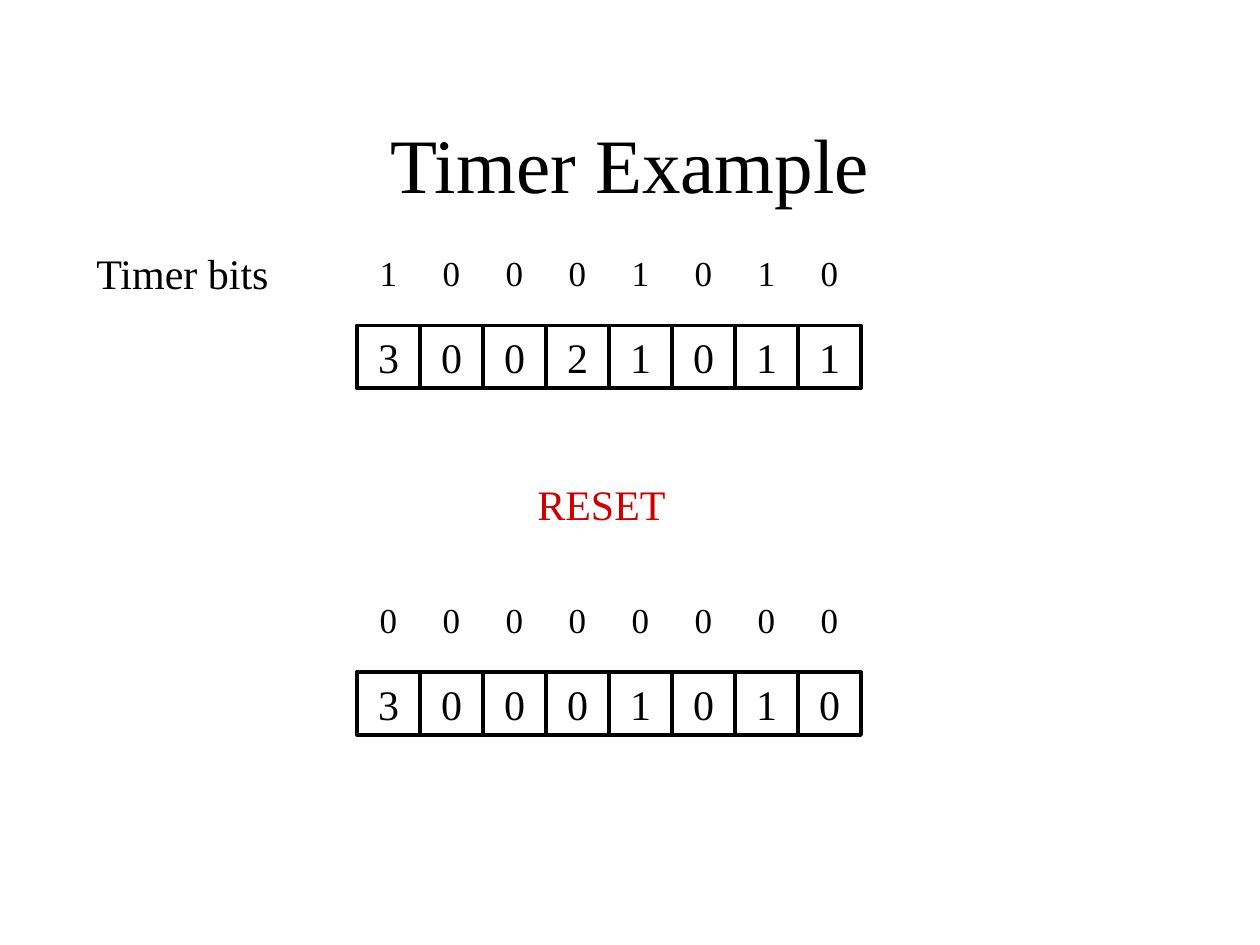
from dataclasses import dataclass

from pptx import Presentation
from pptx.dml.color import RGBColor
from pptx.enum.shapes import MSO_SHAPE
from pptx.enum.text import MSO_ANCHOR as Anchor, MSO_AUTO_SIZE as AutoSize, PP_ALIGN as Align
from pptx.util import Pt


@dataclass(frozen=True)
class Theme:
    font: str = "Times New Roman"
    ink: RGBColor = RGBColor(0, 0, 0)
    alert: RGBColor = RGBColor(0xCC, 0, 0)
    title: int = 44
    body: int = 24
    bit: int = 20
    border: float = 2.25


THEME = Theme()
CELL = 36
ROW_LEFT = 204
BITS_RISE = 48  # from the top of the bits to the top of their counters


def write(tf, text, size, color=THEME.ink, align=Align.CENTER, anchor=Anchor.MIDDLE):
    tf.text = text
    tf.vertical_anchor = anchor
    p = tf.paragraphs[0]
    p.alignment = align
    font = p.runs[0].font
    font.name, font.size = THEME.font, Pt(size)
    font.color.rgb = color


def add_title(s, text):
    sp = s.shapes.title
    sp.left, sp.top, sp.width, sp.height = Pt(54), Pt(48), Pt(612), Pt(90)
    write(sp.text_frame, text, THEME.title)


def add_label(s, text, left, top, width, color=THEME.ink):
    tf = s.shapes.add_textbox(Pt(left), Pt(top), Pt(width), Pt(36)).text_frame
    write(tf, text, THEME.body, color, Align.LEFT, Anchor.TOP)
    tf.word_wrap = False
    tf.auto_size = AutoSize.SHAPE_TO_FIT_TEXT


def add_counter(s, text, box):
    sp = s.shapes.add_shape(MSO_SHAPE.RECTANGLE, *box)
    sp.shadow.inherit = False
    sp.fill.background()
    sp.line.color.rgb = THEME.ink
    sp.line.width = Pt(THEME.border)
    write(sp.text_frame, text, THEME.body)
    sp.text_frame.word_wrap = False


def add_bit(s, text, box):
    tf = s.shapes.add_textbox(*box).text_frame
    write(tf, text, THEME.bit)
    tf.word_wrap = False


def add_row(s, digits, top, add_digit):
    """Lay out one digit per cell, using add_digit to draw each."""
    for i, digit in enumerate(digits):
        add_digit(s, digit, (Pt(ROW_LEFT + i * CELL), Pt(top), Pt(CELL), Pt(CELL)))


def add_timer(s, bits, counters, top):
    add_row(s, counters, top + BITS_RISE, add_counter)
    add_row(s, bits, top, add_bit)


def main():
    prs = Presentation()
    prs.slide_width, prs.slide_height = Pt(720), Pt(540)
    s = prs.slides.add_slide(prs.slide_layouts[5])
    add_title(s, "Timer Example")
    add_timer(s, "10001010", "30021011", top=138)
    add_timer(s, "00000000", "30001010", top=336)
    add_label(s, "RESET", 300, 270, 88, THEME.alert)
    add_label(s, "Timer bits", 48, 138, 114)
    prs.save("out.pptx")


if __name__ == "__main__":
    main()
